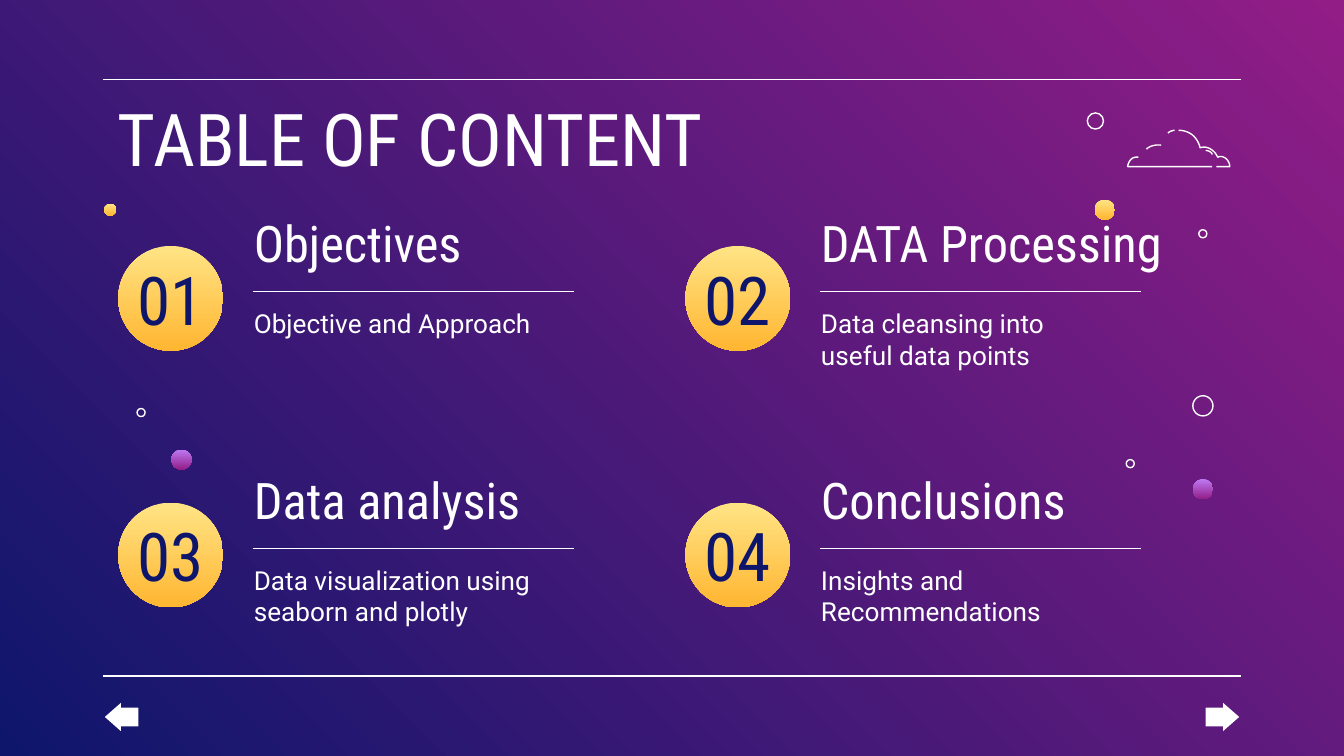
"""Build the table of content slide: four numbered topics on a gradient background."""
from itertools import product

from lxml import etree
from pptx import Presentation
from pptx.dml.color import RGBColor
from pptx.enum.shapes import MSO_CONNECTOR, MSO_SHAPE
from pptx.enum.text import MSO_ANCHOR, PP_ALIGN
from pptx.oxml.ns import qn
from pptx.util import Inches, Pt

STRAIGHT = MSO_CONNECTOR.STRAIGHT
OVAL, LEFT_ARROW, RIGHT_ARROW = MSO_SHAPE.OVAL, MSO_SHAPE.LEFT_ARROW, MSO_SHAPE.RIGHT_ARROW
TOP, MIDDLE = MSO_ANCHOR.TOP, MSO_ANCHOR.MIDDLE
LEFT, CENTER = PP_ALIGN.LEFT, PP_ALIGN.CENTER

TITLE = "TABLE OF CONTENT"
TOPICS = [
    ("01", "Objectives", "Objective and Approach"),
    ("02", "DATA Processing", "Data cleansing into useful data points"),
    ("03", "Data analysis", "Data visualization using seaborn and plotly"),
    ("04", "Conclusions", "Insights and Recommendations"),
]
COLORS = {"white": "FFFFFF", "navy": "0E166C", "magenta": "921D87",
          "yellow": "FFE485", "orange": "FFB632", "violet": "BE7AF3"}
GOLD, PURPLE = ("yellow", "orange"), ("violet", "magenta")
FORMATS = {
    "title": {"name": "Roboto Condensed", "size": Pt(39), "color": "white"},
    "heading": {"name": "Roboto Condensed", "size": Pt(27), "color": "white"},
    "summary": {"name": "Roboto", "size": Pt(14), "color": "white"},
    "number": {"name": "Roboto Condensed", "size": Pt(36), "color": "navy"},
}

WIDTH = 10
HEIGHT = WIDTH * 9 / 16
MARGIN = 0.77
GRID_LEFT, GRID_TOP, COLUMN_STEP, ROW_STEP = 0.88, 1.83, 4.22, 1.91
BADGE, RULE_WIDTH = 0.78, 2.39
ARROW_WIDTH, ARROW_HEIGHT, ARROW_TOP = 0.25, 0.21, 5.23
DOTS = [(8.22, 1.56, 0.15, GOLD), (0.82, 1.56, 0.09, GOLD),
        (8.95, 3.64, 0.15, PURPLE), (1.35, 3.42, 0.15, PURPLE)]
RINGS = [(8.15, 0.9, 0.12), (8.95, 3.02, 0.15), (8.95, 1.74, 0.06),
         (8.41, 3.45, 0.06), (1.05, 3.07, 0.06)]
CLOUD = [
    [(8.77, 0.97), [(8.85, 0.97), (8.91, 1.02), (8.93, 1.1)],
     [(8.98, 1.08), (9.04, 1.12), (9.06, 1.17)],
     [(9.1, 1.15), (9.15, 1.19), (9.15, 1.24)], [(9.05, 1.24)]],
    [(8.74, 0.97), [(8.74, 0.97), (8.71, 0.97), (8.69, 0.99)]],
    [(9.02, 1.24), [(8.39, 1.24)], [(8.39, 1.24), (8.4, 1.16), (8.47, 1.17)]],
    [(8.97, 1.12), [(8.97, 1.12), (9.01, 1.12), (9.02, 1.15)]],
    [(8.64, 1.08), [(8.64, 1.08), (8.57, 1.07), (8.53, 1.11)]],
]


def rgb(name):
    return RGBColor.from_string(COLORS[name])


def fill_gradient(fill, names, angle=270):
    fill.gradient()
    fill.gradient_angle = angle
    for stop, name, position in zip(fill.gradient_stops, names, (0, 1)):
        stop.color.rgb = rgb(name)
        stop.position = position


def outline(shape):
    shape.line.color.rgb = rgb("white")
    shape.line.width = Pt(0.75)


def add_rule(slide, left, top, width):
    rule = slide.shapes.add_connector(
        STRAIGHT, Inches(left), Inches(top), Inches(left + width), Inches(top))
    outline(rule)
    etree.SubElement(rule._element.spPr, qn("a:effectLst"))


def add_shape(slide, kind, left, top, width, height):
    shape = slide.shapes.add_shape(kind, *map(Inches, (left, top, width, height)))
    shape.shadow.inherit = False
    shape.line.fill.background()
    return shape


def add_circle(slide, center_x, center_y, size, gradient=None):
    circle = add_shape(slide, OVAL, center_x - size / 2, center_y - size / 2, size, size)
    if gradient:
        fill_gradient(circle.fill, gradient)
    else:
        circle.fill.background()
        outline(circle)


def add_text(slide, text, style, left, top, width, height, anchor=TOP, alignment=LEFT):
    box = slide.shapes.add_textbox(*map(Inches, (left, top, width, height)))
    frame = box.text_frame
    layout = {"word_wrap": True, "vertical_anchor": anchor}
    layout |= {f"margin_{side}": Inches(0.1) for side in ("left", "right", "top", "bottom")}
    for name, value in layout.items():
        setattr(frame, name, value)
    paragraph = frame.paragraphs[0]
    paragraph.alignment = alignment
    run = paragraph.add_run()
    run.text = text
    for name, value in FORMATS[style].items():
        if name == "color":
            run.font.color.rgb = rgb(value)
        else:
            setattr(run.font, name, value)


def curve_points(start, controls, steps=12):
    if len(controls) == 1:
        return controls
    points = [start, *controls]
    shares = [step / steps for step in range(1, steps + 1)]
    return [tuple(sum(weight * point[axis] for weight, point in zip(
        ((1 - t) ** 3, 3 * t * (1 - t) ** 2, 3 * t * t * (1 - t), t ** 3), points))
        for axis in (0, 1)) for t in shares]


def add_stroke(slide, start, *segments):
    points = [start]
    for segment in segments:
        points += curve_points(points[-1], segment)
    corners = [tuple(map(Inches, point)) for point in points]
    builder = slide.shapes.build_freeform(*corners[0])
    builder.add_line_segments(corners[1:], close=False)
    stroke = builder.convert_to_shape()
    stroke.shadow.inherit = False
    stroke.fill.background()
    outline(stroke)


def add_topic(slide, topic, left, top):
    number, heading, summary = topic
    add_circle(slide, left + BADGE / 2, top + BADGE / 2, BADGE, GOLD)
    add_rule(slide, left + 1, top + 0.34, RULE_WIDTH)
    add_text(slide, heading, "heading", left + 0.91, top - 0.35, 3.05, 0.48)
    add_text(slide, summary, "summary", left + 0.91, top + 0.36, 2.42, 0.62)
    add_text(slide, number, "number", left, top + 0.2, BADGE, 0.38, MIDDLE, CENTER)


def main():
    presentation = Presentation()
    presentation.slide_width, presentation.slide_height = Inches(WIDTH), Inches(HEIGHT)
    slide = presentation.slides.add_slide(presentation.slide_layouts[6])
    fill_gradient(slide.background.fill, ("magenta", "navy"), 225)
    for top in (0.59, 5.03):
        add_rule(slide, MARGIN, top, WIDTH - 2 * MARGIN)
    add_text(slide, TITLE, "title", 0.78, 0.6, 8.44, 0.66)
    for topic, (row, column) in zip(TOPICS, product(range(2), repeat=2)):
        add_topic(slide, topic, GRID_LEFT + column * COLUMN_STEP, GRID_TOP + row * ROW_STEP)
    for kind, left in ((LEFT_ARROW, 0.78), (RIGHT_ARROW, WIDTH - 0.78 - ARROW_WIDTH)):
        arrow = add_shape(slide, kind, left, ARROW_TOP, ARROW_WIDTH, ARROW_HEIGHT)
        arrow.fill.solid()
        arrow.fill.fore_color.rgb = rgb("white")
        arrow.adjustments[0], arrow.adjustments[1] = 0.66, 0.57
    for stroke in CLOUD:
        add_stroke(slide, *stroke)
    for circle in DOTS + RINGS:
        add_circle(slide, *circle)
    presentation.save("out.pptx")


if __name__ == "__main__":
    main()
